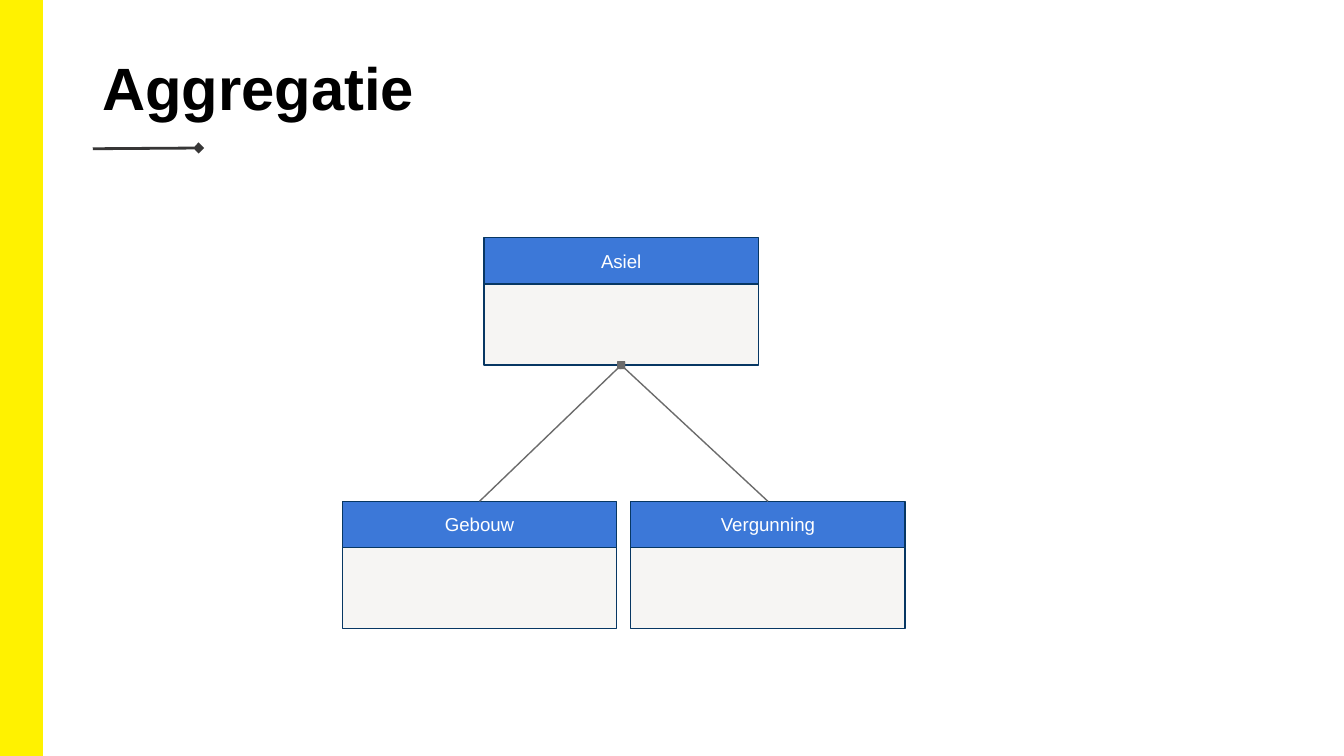
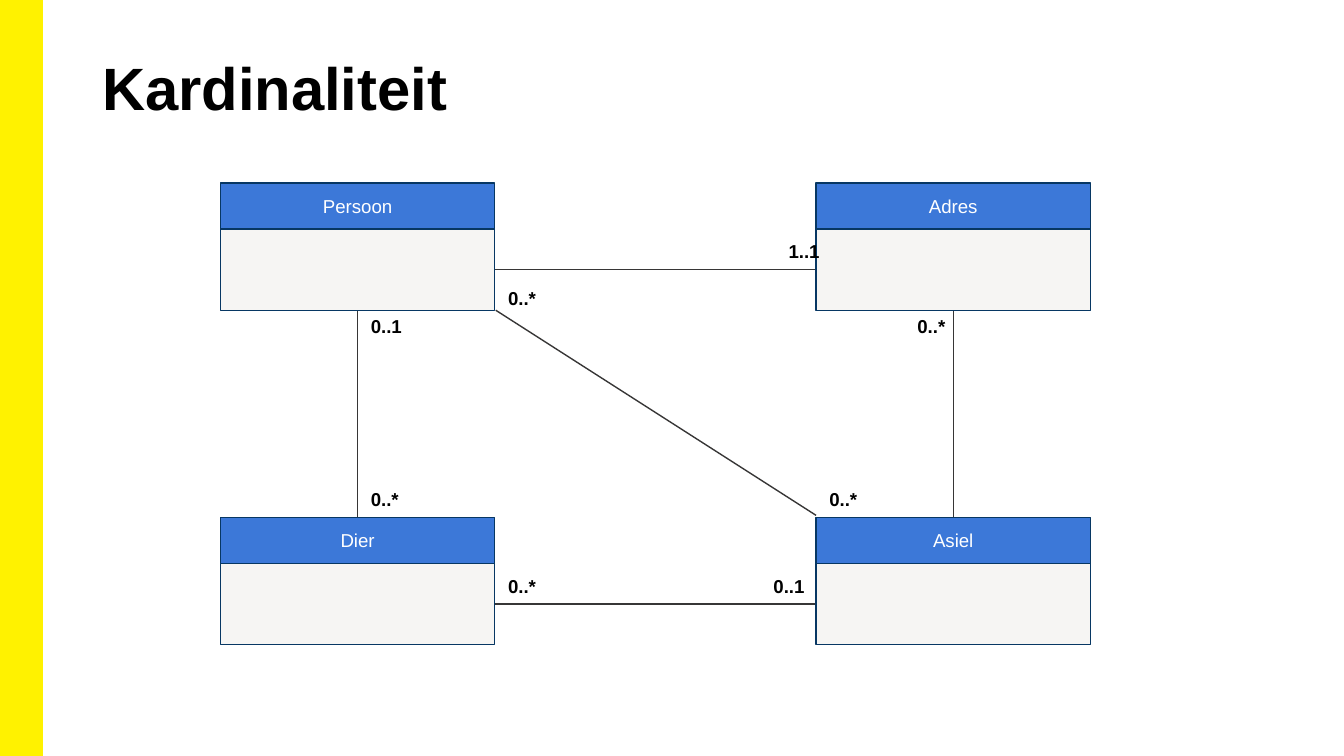
from lxml import etree
from pptx import Presentation
from pptx.dml.color import RGBColor
from pptx.enum.shapes import MSO_CONNECTOR, MSO_SHAPE
from pptx.enum.text import MSO_ANCHOR, MSO_AUTO_SIZE, PP_ALIGN
from pptx.oxml.ns import qn
from pptx.util import Pt

RECT = MSO_SHAPE.RECTANGLE
STRAIGHT = MSO_CONNECTOR.STRAIGHT
TOP, MIDDLE = MSO_ANCHOR.TOP, MSO_ANCHOR.MIDDLE
LEFT, CENTER = PP_ALIGN.LEFT, PP_ALIGN.CENTER
NO_FIT, GROW = MSO_AUTO_SIZE.NONE, MSO_AUTO_SIZE.SHAPE_TO_FIT_TEXT

FONT = "Arial"
COLORS = {"band": "FFF200", "text": "000000", "white": "FFFFFF", "head": "3C78D8",
          "body": "F6F5F3", "edge": "073763", "dark": "373636", "grey": "6B6B6B"}
WIDE, HIGH = 720, 405
BOX, HEAD, BODY = 147, 24.7, 43.5
TALL = HEAD + BODY
MID = HEAD + BODY / 2


class Deck:
    """Holds the shared style and the current slide."""

    def __init__(self):
        self.prs = Presentation()
        self.prs.slide_width, self.prs.slide_height = Pt(WIDE), Pt(HIGH)
        self.slide = None

    def color(self, name):
        return RGBColor.from_string(COLORS[name])

    def text(self, frame, words, size, color, bold, align, anchor, pads):
        frame.word_wrap = True
        frame.vertical_anchor = anchor
        frame.margin_left = frame.margin_right = Pt(pads[0])
        frame.margin_top = frame.margin_bottom = Pt(pads[1])
        frame.text = words
        par = frame.paragraphs[0]
        par.alignment = align
        par.font.name, par.font.size, par.font.bold = FONT, Pt(size), bold
        par.font.color.rgb = self.color(color)

    def rect(self, shapes, x, y, w, h, fill, edge, width):
        shape = shapes.add_shape(RECT, Pt(x), Pt(y), Pt(w), Pt(h))
        shape.shadow.inherit = False
        shape.fill.solid()
        shape.fill.fore_color.rgb = self.color(fill)
        shape.line.color.rgb = self.color(edge)
        shape.line.width = Pt(width)
        return shape

    def start(self, words):
        self.slide = self.prs.slides.add_slide(self.prs.slide_layouts[5])
        title = self.slide.shapes.title
        title.left, title.top, title.width, title.height = Pt(49.7), Pt(21.6), Pt(620.6), Pt(57.6)
        self.text(title.text_frame, words, 32, "text", True, LEFT, TOP, (5, 5.5))
        title.text_frame.auto_size = NO_FIT
        self.rect(self.slide.shapes, 0, 0, 22.5, HIGH, "band", "band", 1)

    def box(self, name, x, y):
        shapes = self.slide.shapes.add_group_shape().shapes
        self.rect(shapes, x, y + HEAD, BOX, BODY, "body", "edge", 0.75)
        head = self.rect(shapes, x, y, BOX, HEAD, "head", "edge", 0.75)
        self.text(head.text_frame, name, 10, "white", False, CENTER, MIDDLE, (7.2, 7.2))

    def label(self, words, x, y):
        box = self.slide.shapes.add_textbox(Pt(x), Pt(y), Pt(45.4), Pt(26.6))
        self.text(box.text_frame, words, 10, "text", True, LEFT, TOP, (7.2, 7.2))
        box.text_frame.auto_size = GROW

    def line(self, x1, y1, x2, y2, color="dark", width=0.75, tip=None):
        line = self.slide.shapes.add_connector(STRAIGHT, Pt(x1), Pt(y1), Pt(x2), Pt(y2))
        line.line.color.rgb = self.color(color)
        line.line.width = Pt(width)
        if tip:
            etree.SubElement(line.line._get_or_add_ln(), qn("a:tailEnd"), type=tip)
        etree.SubElement(line._element.spPr, qn("a:effectLst"))


def whole(deck):
    deck.start("Aggregatie")
    x, y, low = 259.3, 127.4, 268.6
    parts = {"Gebouw": 183.4, "Vergunning": 337.9}
    deck.box("Asiel", x, y)
    for name, left in parts.items():
        deck.box(name, left, low)
    for left in parts.values():
        deck.line(left + BOX / 2, low, x + BOX / 2, y + TALL, "grey", tip="diamond")
    deck.line(49.7, 79.7, 106.4, 79.3, width=1.5, tip="diamond")


def counts(deck):
    deck.start("Kardinaliteit")
    left, right, top, low = 118.1, 437.2, 98, 277.1
    inner = left + BOX
    for y in (top, low):
        deck.line(inner, y + MID, right, y + MID)
    for x in (left, right):
        deck.line(x + BOX / 2, top + TALL, x + BOX / 2, low)
    deck.line(inner + 0.5, top + TALL, right, low - 1)
    for name, x, y in (("Persoon", left, top), ("Adres", right, top),
                       ("Dier", left, low), ("Asiel", right, low)):
        deck.box(name, x, y)
    mid, under, above, side = left + BOX / 2, 162.7, 255.6, 301.7
    for words, x, y in (("0..1", mid, under), ("0..*", mid, above),
                        ("0..*", inner, side), ("0..1", 407.3, side),
                        ("0..*", 484.4, under), ("1..1", 415.4, 122.7),
                        ("0..*", right, above), ("0..*", inner, 147.8)):
        deck.label(words, x, y)


def main():
    deck = Deck()
    whole(deck)
    counts(deck)
    deck.prs.save("out.pptx")


if __name__ == "__main__":
    main()
